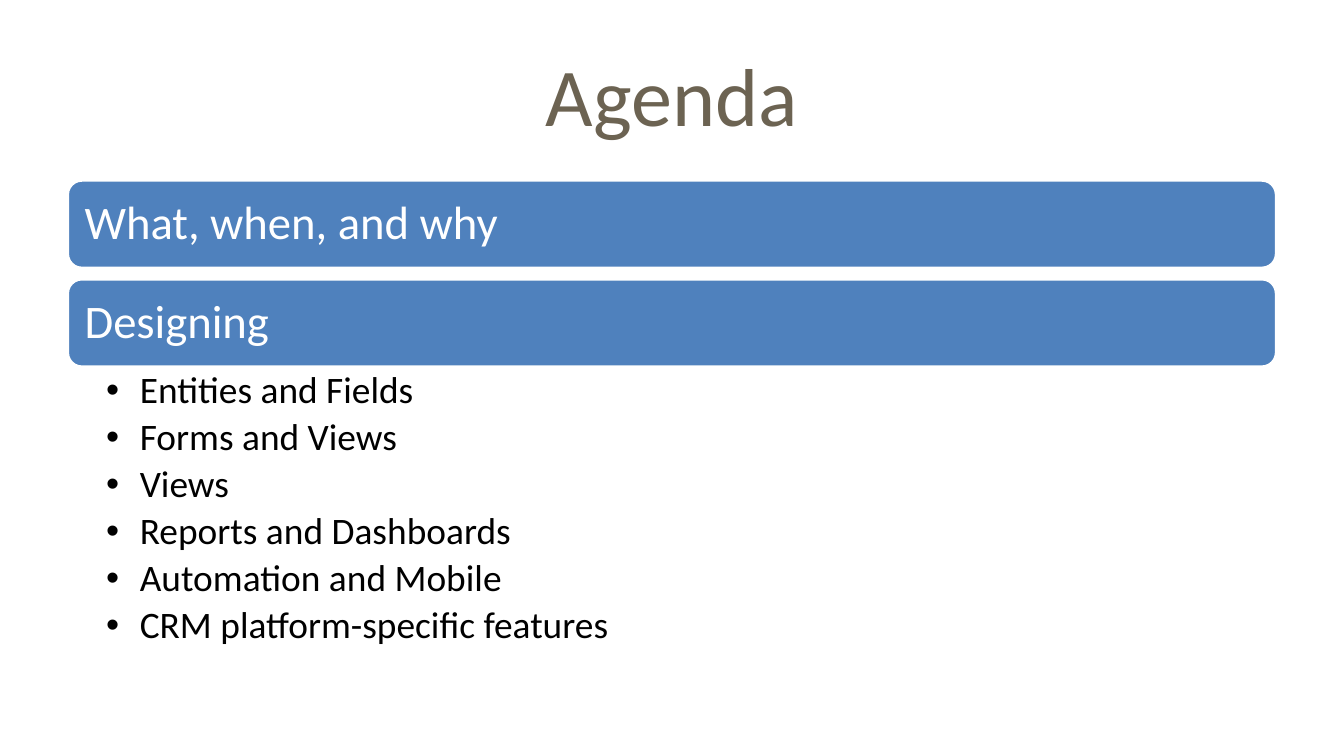
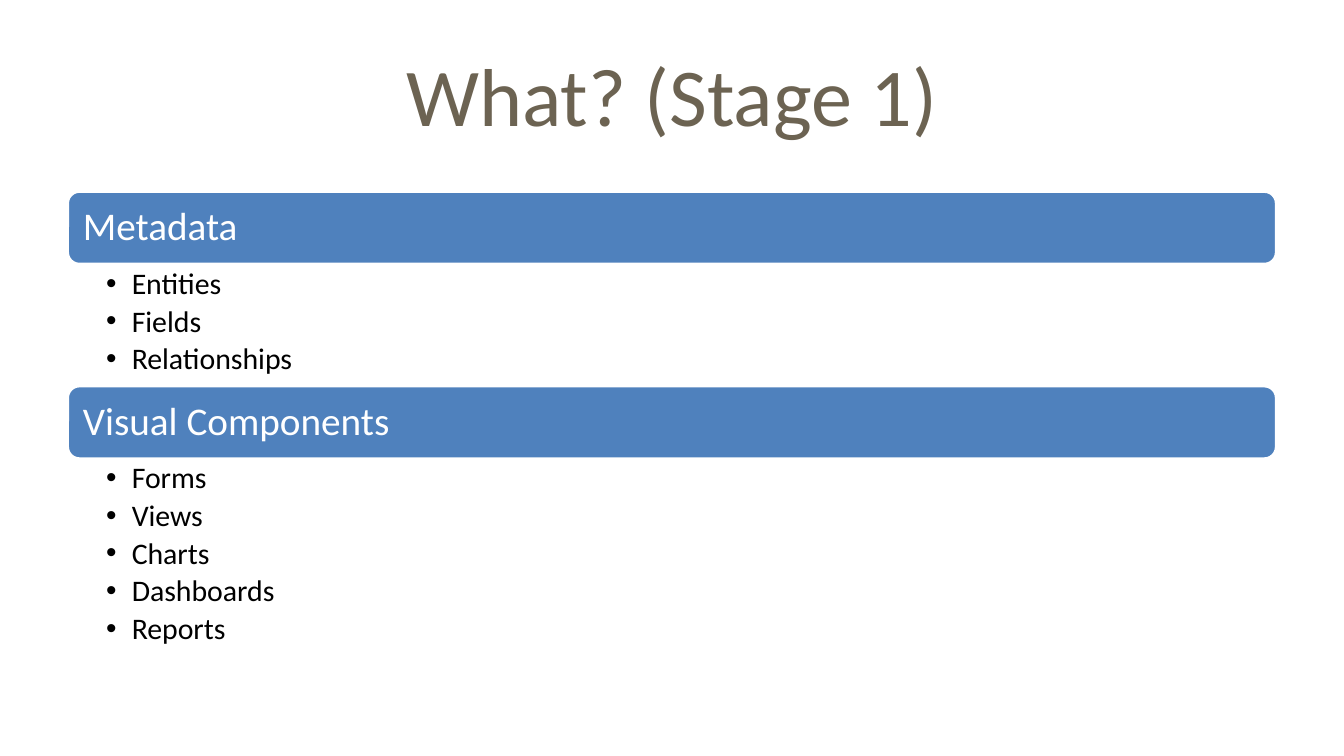
from dataclasses import dataclass

from lxml.etree import SubElement
from pptx import Presentation
from pptx.dml.color import RGBColor
from pptx.enum.shapes import MSO_SHAPE
from pptx.enum.text import MSO_ANCHOR, MSO_AUTO_SIZE, PP_ALIGN
from pptx.oxml.ns import qn
from pptx.util import Inches, Pt

SLIDE_WIDTH, SLIDE_HEIGHT = Inches(10), Inches(5.625)
COLUMN, ROW = SLIDE_WIDTH / 20, SLIDE_HEIGHT / 75
LEFT, SPAN = 1, 18  # content columns
TITLE_TOP, TITLE_ROWS = 3, 12.5
LAYOUT_BY_LIST_COUNT = {1: 1, 2: 3}  # "Title and Content", "Two Content"


@dataclass(frozen=True)
class Theme:
    font: str = "Calibri"
    title: RGBColor = RGBColor(0x6C, 0x63, 0x52)
    bar: RGBColor = RGBColor(0x4F, 0x81, 0xBD)
    white: RGBColor = RGBColor(0xFF, 0xFF, 0xFF)
    text: RGBColor = RGBColor(0, 0, 0)
    title_size: int = 44
    line_spacing: float = 0.9
    item_gap: float = 0.18  # share of the type size


@dataclass(frozen=True)
class Outline:
    """Type sizes in points, insets in inches, heights in grid rows."""
    top: float
    bar_rows: float
    item_rows: float
    heading_size: int
    item_size: int
    bar_inset: float
    item_indent: float
    right_inset: float
    bar_gap: float = 1


THEME = Theme()
LARGE = Outline(17.85, 8.8, 5.02, 25, 20, 0.1, 0.25, 0.19)
SMALL = Outline(18.95, 7.3, 4, 21, 16, 0.09, 0.19, 0.16)

SLIDES = [
    ("Agenda", LARGE, [
        ("What, when, and why", []),
        ("Designing", ["Entities and Fields", "Forms and Views", "Views",
                       "Reports and Dashboards", "Automation and Mobile",
                       "CRM platform-specific features"]),
    ]),
    ("What? (Stage 1)", SMALL, [
        ("Metadata", ["Entities", "Fields", "Relationships"]),
        ("Visual Components", ["Forms", "Views", "Charts", "Dashboards",
                               "Reports"]),
    ]),
]


def box(top, rows):
    """Left, top, width and height of a band across the content columns."""
    return (int(LEFT * COLUMN), int(top * ROW),
            int(SPAN * COLUMN), int(rows * ROW))


def place(shape, top, rows):
    shape.left, shape.top, shape.width, shape.height = box(top, rows)


def set_insets(frame, left, top, right, bottom):
    frame.margin_left, frame.margin_top = Inches(left), Inches(top)
    frame.margin_right, frame.margin_bottom = Inches(right), Inches(bottom)


def set_font(paragraph, size, color):
    font = paragraph.font
    font.name, font.size = THEME.font, Pt(size)
    font.color.rgb = color


def set_bullet(paragraph, indent):
    properties = paragraph._p.get_or_add_pPr()
    properties.set("marL", str(Inches(indent)))
    properties.set("indent", str(-Inches(indent)))
    SubElement(properties, qn("a:buChar")).set("char", "•")


def set_title(slide, text):
    title = slide.shapes.title
    place(title, TITLE_TOP, TITLE_ROWS)
    frame = title.text_frame
    frame.text = text
    frame.vertical_anchor = MSO_ANCHOR.MIDDLE
    paragraph = frame.paragraphs[0]
    paragraph.alignment = PP_ALIGN.CENTER
    set_font(paragraph, THEME.title_size, THEME.title)


def add_bar(slide, text, top, outline):
    bar = slide.shapes.add_shape(MSO_SHAPE.ROUNDED_RECTANGLE,
                                 *box(top, outline.bar_rows))
    bar.shadow.inherit = False
    bar.fill.solid()
    bar.fill.fore_color.rgb = THEME.bar
    bar.line.color.rgb = THEME.white
    bar.line.width = Pt(2)
    frame = bar.text_frame
    frame.text = text
    frame.vertical_anchor = MSO_ANCHOR.MIDDLE
    set_insets(frame, *[outline.bar_inset] * 4)
    paragraph = frame.paragraphs[0]
    paragraph.alignment = PP_ALIGN.LEFT
    paragraph.line_spacing = THEME.line_spacing
    set_font(paragraph, outline.heading_size, THEME.white)


def fill_list(placeholder, items, top, outline):
    place(placeholder, top, len(items) * outline.item_rows)
    frame = placeholder.text_frame
    frame.text = "\n".join(items)
    frame.auto_size = MSO_AUTO_SIZE.NONE
    frame.vertical_anchor = MSO_ANCHOR.TOP
    set_insets(frame, 0.29, 0.03, outline.right_inset, 0.03)
    for paragraph in frame.paragraphs:
        paragraph.level = 1
        set_bullet(paragraph, outline.item_indent)
        paragraph.line_spacing = THEME.line_spacing
        paragraph.space_before = Pt(0)
        paragraph.space_after = Pt(THEME.item_gap * outline.item_size)
        set_font(paragraph, outline.item_size, THEME.text)


def add_outline_slide(presentation, title, outline, sections):
    """Stack heading bars, each followed by its list or by a small gap."""
    list_count = sum(bool(items) for _, items in sections)
    layout = presentation.slide_layouts[LAYOUT_BY_LIST_COUNT[list_count]]
    slide = presentation.slides.add_slide(layout)
    set_title(slide, title)
    bodies = iter(list(slide.placeholders)[1:])
    top = outline.top
    for heading, items in sections:
        add_bar(slide, heading, top, outline)
        top += outline.bar_rows
        if items:
            fill_list(next(bodies), items, top, outline)
            top += len(items) * outline.item_rows
        else:
            top += outline.bar_gap


def main():
    presentation = Presentation()
    presentation.slide_width = SLIDE_WIDTH
    presentation.slide_height = SLIDE_HEIGHT
    for title, outline, sections in SLIDES:
        add_outline_slide(presentation, title, outline, sections)
    presentation.save("out.pptx")


if __name__ == "__main__":
    main()
